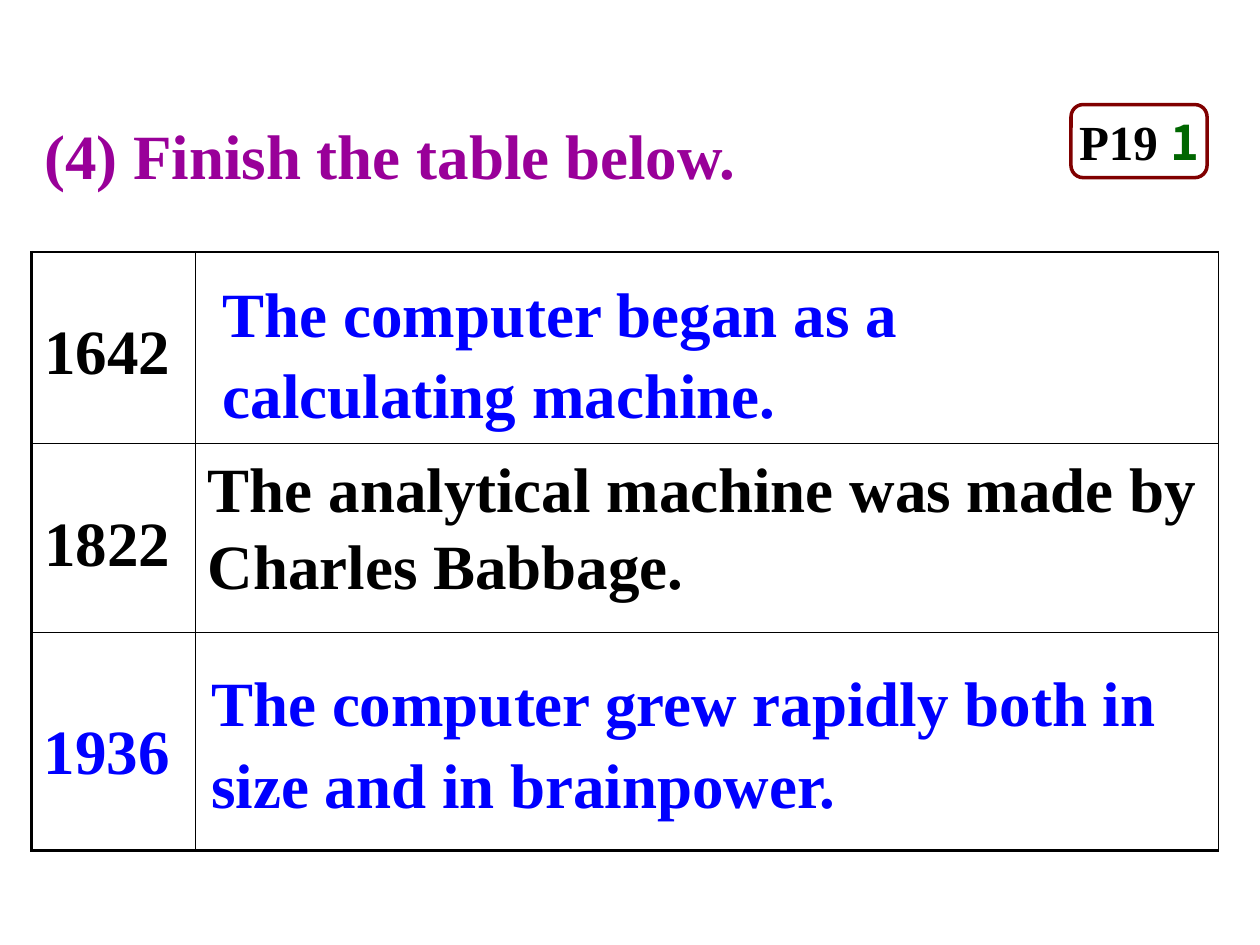
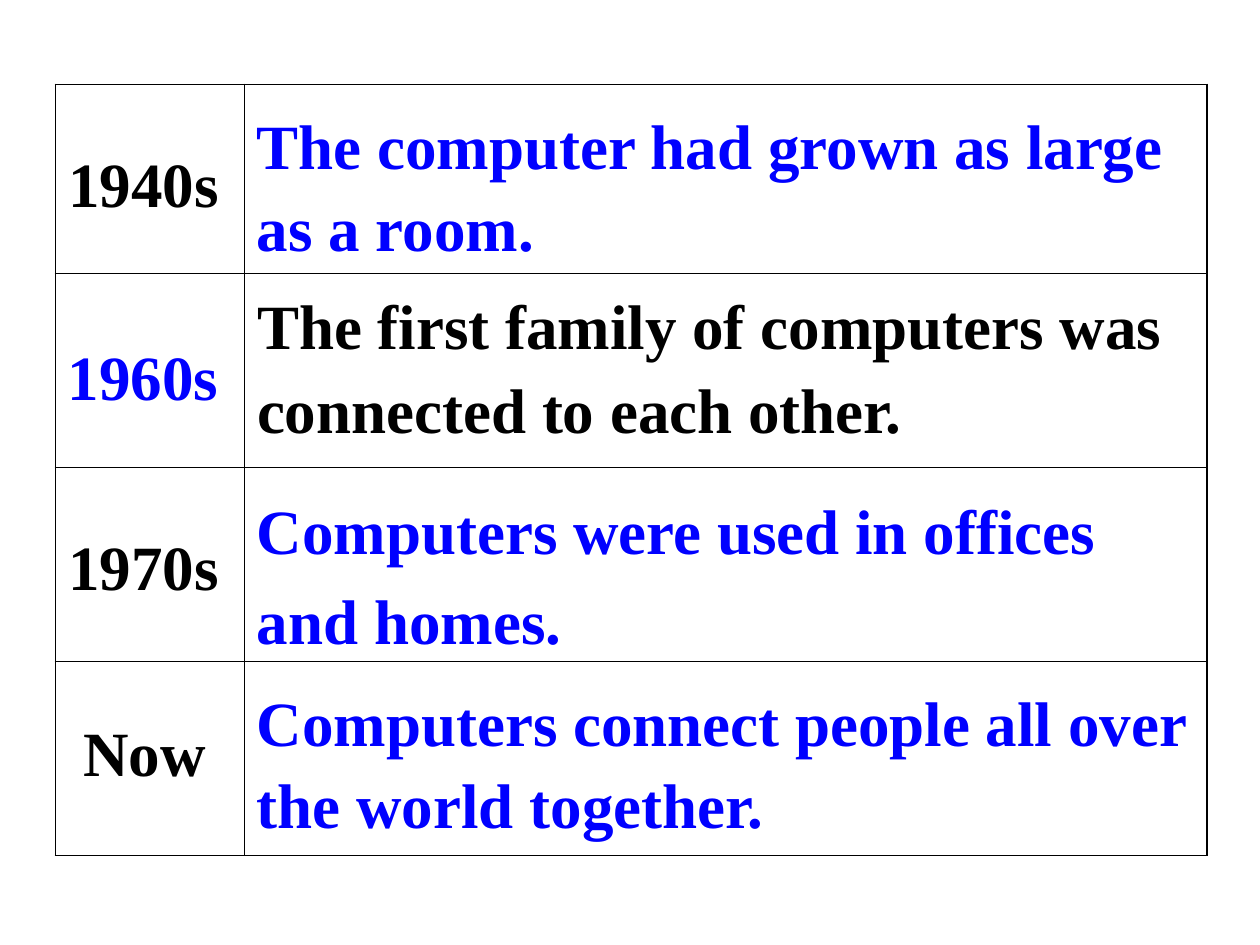
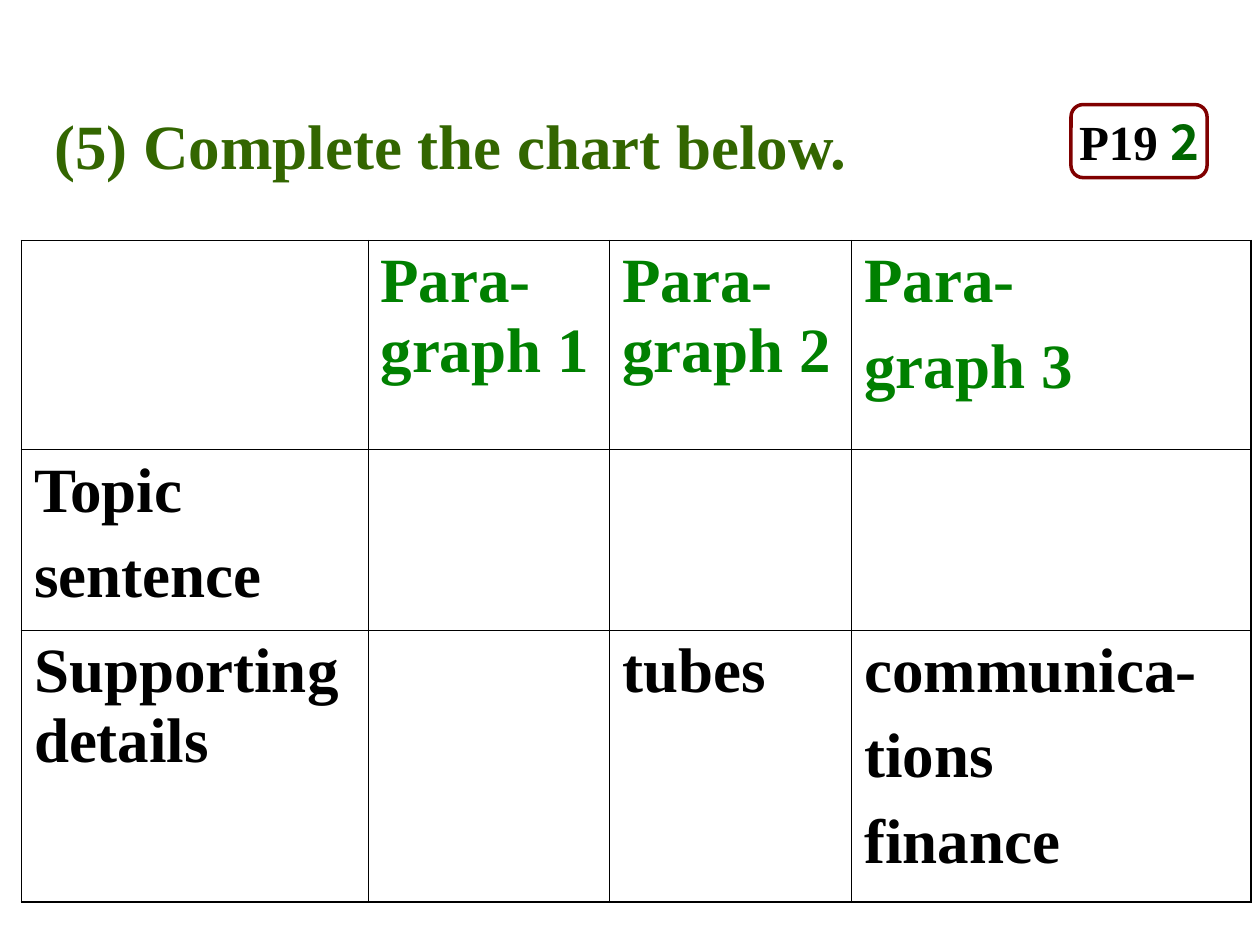
"""Build three lesson slides about the history of computers."""
import pptx
import pptx.dml.color
import pptx.enum.shapes
import pptx.enum.text
import pptx.oxml
import pptx.oxml.ns
import pptx.util
from pptx.util import Inches

SERIF = "Times New Roman"
SANS = "Noto Sans CJK JP"
BLACK = "000000"
ANSWER_BLUE = "0000FF"
HEADER_GREEN = "008000"
TEXT_SIZE = 36
BOX_SPACING = 1.08
INNER_BORDER = 0.45
TITLE_ONLY, BLANK = 5, 6


def color(hex_string):
    """Return a colour for a hex string."""
    return pptx.dml.color.RGBColor.from_string(hex_string)


def format_font(font, hex_string, size=TEXT_SIZE, name=SERIF):
    """Apply the shared bold text style."""
    font.name = name
    font.size = pptx.util.Pt(size)
    font.bold = True
    font.color.rgb = color(hex_string)


def write_paragraphs(text_frame, text, hex_string, line_spacing=None, space_before=0):
    """Write one paragraph per line of text and format its runs."""
    text_frame.text = text
    for index, paragraph in enumerate(text_frame.paragraphs):
        paragraph.alignment = pptx.enum.text.PP_ALIGN.LEFT
        paragraph.line_spacing = line_spacing
        paragraph.space_before = pptx.util.Pt(space_before if index else 0)
        for run in paragraph.runs:
            format_font(run.font, hex_string)


def add_title(slide, text, hex_string, left, top, width):
    """Place and format the slide title."""
    title = slide.shapes.title
    title.left, title.top = Inches(left), Inches(top)
    title.width, title.height = Inches(width), Inches(0.7)
    title.text_frame.vertical_anchor = pptx.enum.text.MSO_ANCHOR.TOP
    write_paragraphs(title.text_frame, text, hex_string, BOX_SPACING)


def add_answer(slide, text, left, top, width, height, line_spacing=BOX_SPACING):
    """Add a blue answer over a table cell."""
    box = slide.shapes.add_textbox(Inches(left), Inches(top), Inches(width), Inches(height))
    box.text_frame.word_wrap = True
    write_paragraphs(box.text_frame, text, ANSWER_BLUE, line_spacing)


def add_page_badge(slide, exercise):
    """Add the rounded badge with the page and exercise number."""
    badge = slide.shapes.add_shape(
        pptx.enum.shapes.MSO_SHAPE.ROUNDED_RECTANGLE,
        Inches(8.5), Inches(0.83), Inches(1.08), Inches(0.58))
    badge.shadow.inherit = False
    badge.fill.background()
    badge.line.color.rgb = color("800000")
    badge.line.width = pptx.util.Pt(2)
    badge.text_frame.word_wrap = False
    badge.text_frame.vertical_anchor = pptx.enum.text.MSO_ANCHOR.MIDDLE
    paragraph = badge.text_frame.paragraphs[0]
    paragraph.alignment = pptx.enum.text.PP_ALIGN.CENTER
    for text, hex_string, name in (("P19 ", BLACK, SERIF), (exercise, "006600", SANS)):
        run = paragraph.add_run()
        run.text = text
        format_font(run.font, hex_string, 28, name)


def set_cell_borders(cell, widths):
    """Draw the left, right, top and bottom borders of a cell."""
    properties = cell._tc.get_or_add_tcPr()
    for index, (side, width) in enumerate(zip("LRTB", widths)):
        line = pptx.oxml.parse_xml(
            f'<a:ln{side} {pptx.oxml.ns.nsdecls("a")} w="{pptx.util.Pt(width)}">'
            f'<a:solidFill><a:srgbClr val="{BLACK}"/></a:solidFill></a:ln{side}>')
        properties.insert(index, line)


def add_grid(slide, left, top, column_widths, row_heights, outer_borders):
    """Add an unfilled table with thin inner and heavier outer borders."""
    table = slide.shapes.add_table(
        len(row_heights), len(column_widths), Inches(left), Inches(top),
        Inches(sum(column_widths)), Inches(sum(row_heights))).table
    table.first_row = table.horz_banding = False
    for column, width in zip(table.columns, column_widths):
        column.width = Inches(width)
    for row, height in zip(table.rows, row_heights):
        row.height = Inches(height)
    last_row, last_column = len(row_heights) - 1, len(column_widths) - 1
    for row_index, row in enumerate(table.rows):
        for column_index, cell in enumerate(row.cells):
            on_edge = (column_index == 0, column_index == last_column,
                       row_index == 0, row_index == last_row)
            cell.fill.background()
            set_cell_borders(cell, [outer if edge else INNER_BORDER
                                    for edge, outer in zip(on_edge, outer_borders)])
    return table


def fill_year(cell, text, margin_top=0.53, margin_left=0.1):
    """Write a date lowered inside its cell."""
    cell.margin_top = Inches(margin_top)
    cell.margin_left = Inches(margin_left)
    write_paragraphs(cell.text_frame, text, BLACK)


def build_early_years(presentation):
    """Build the slide with the events from 1642 to 1936."""
    slide = presentation.slides.add_slide(presentation.slide_layouts[TITLE_ONLY])
    add_title(slide, "(4) Finish the table below.", "990099", 0.25, 0.83, 6.08)
    table = add_grid(slide, 0.25, 2, (1.3, 8.12), (1.52, 1.5, 1.73), (1.47, 1.08, 1.47, 1.47))
    fill_year(table.cell(0, 0), "1642")
    fill_year(table.cell(1, 0), "1822")
    write_paragraphs(table.cell(1, 1).text_frame,
                     "The analytical machine was made by Charles Babbage.", BLACK, 1.1)
    add_answer(slide, "The computer began as a calculating machine.", 1.67, 2.08, 6.33, 1.3)
    add_answer(slide, "1936", 0.25, 5.55, 1.5, 0.7)
    add_answer(slide, "The computer grew rapidly both in size and in brainpower.",
               1.58, 5.17, 8.33, 1.3)
    add_page_badge(slide, "1")


def build_later_years(presentation):
    """Build the slide with the events from the 1940s to now."""
    slide = presentation.slides.add_slide(presentation.slide_layouts[BLANK])
    table = add_grid(slide, 0.44, 0.67, (1.5, 7.64), (1.5, 1.54, 1.54, 1.54), (1.08,) * 4)
    fill_year(table.cell(0, 0), "1940s")
    fill_year(table.cell(2, 0), "1970s")
    fill_year(table.cell(3, 0), "Now", 0.47, 0.22)
    write_paragraphs(table.cell(1, 1).text_frame,
                     "The first family of computers was connected to each other.", BLACK, 1.2)
    add_answer(slide, "1960s", 0.44, 2.58, 1.5, 0.7)
    add_answer(slide, "The computer had grown as large as a room.", 1.94, 0.75, 7.42, 1.3)
    add_answer(slide, "Computers were used in offices and homes.", 1.94, 3.74, 7.56, 1.42, 1.19)
    add_answer(slide, "Computers connect people all over the world together.",
               1.94, 5.33, 7.64, 1.3)


def build_paragraph_chart(presentation):
    """Build the slide with the paragraph overview to complete."""
    slide = presentation.slides.add_slide(presentation.slide_layouts[TITLE_ONLY])
    add_title(slide, "(5) Complete the chart below.", "336600", 0.33, 0.75, 7)
    table = add_grid(slide, 0.17, 1.91, (2.75, 1.92, 1.92, 3.17), (1.66, 1.43, 2.16), (1.08,) * 4)
    rows = (
        ("", "Para-graph 1", "Para-graph 2", "Para-\ngraph 3"),
        ("Topic\nsentence", "", "", ""),
        ("Supporting details", "", "tubes", "communica-\ntions\nfinance"),
    )
    for row_index, texts in enumerate(rows):
        hex_string = BLACK if row_index else HEADER_GREEN
        for column_index, text in enumerate(texts):
            if text:
                write_paragraphs(table.cell(row_index, column_index).text_frame,
                                 text, hex_string, space_before=9)
    add_page_badge(slide, "2")


def main():
    """Build and save the presentation."""
    presentation = pptx.Presentation()
    presentation.slide_width, presentation.slide_height = Inches(10), Inches(7.5)
    build_early_years(presentation)
    build_later_years(presentation)
    build_paragraph_chart(presentation)
    presentation.save("out.pptx")


if __name__ == "__main__":
    main()
